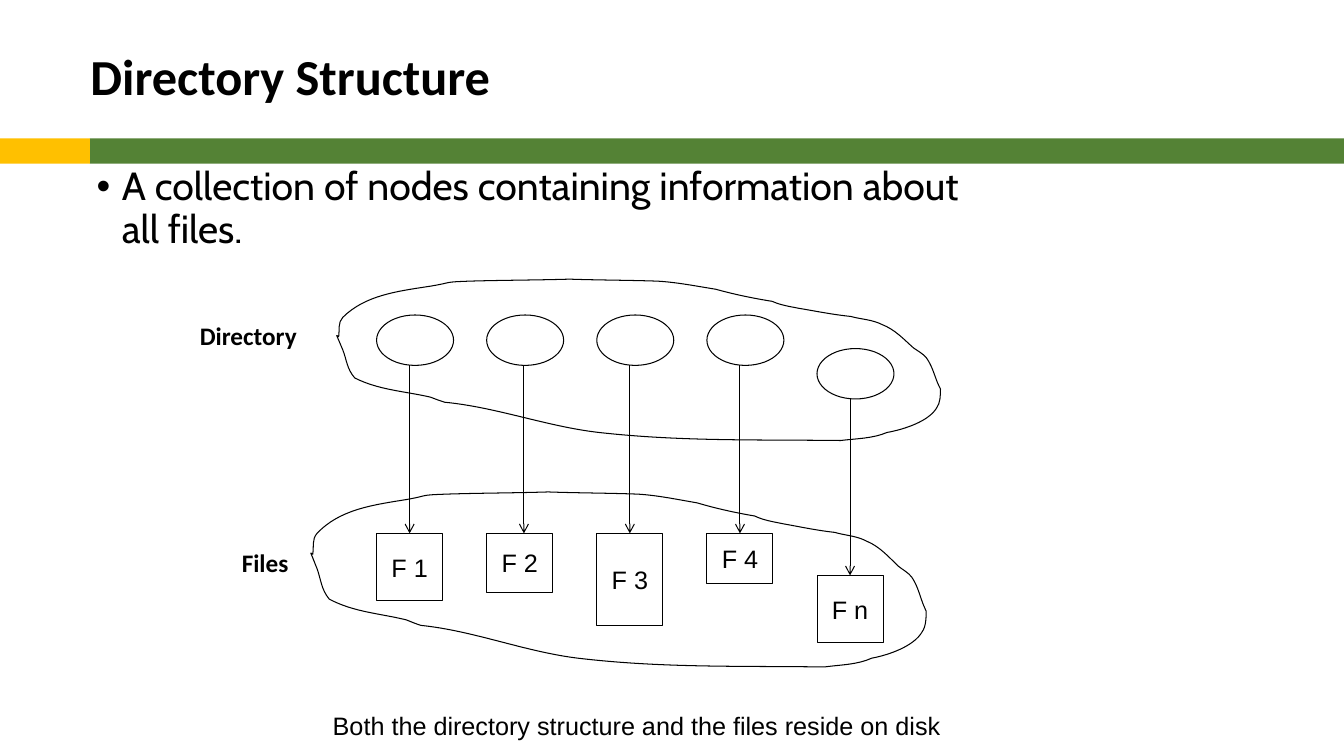
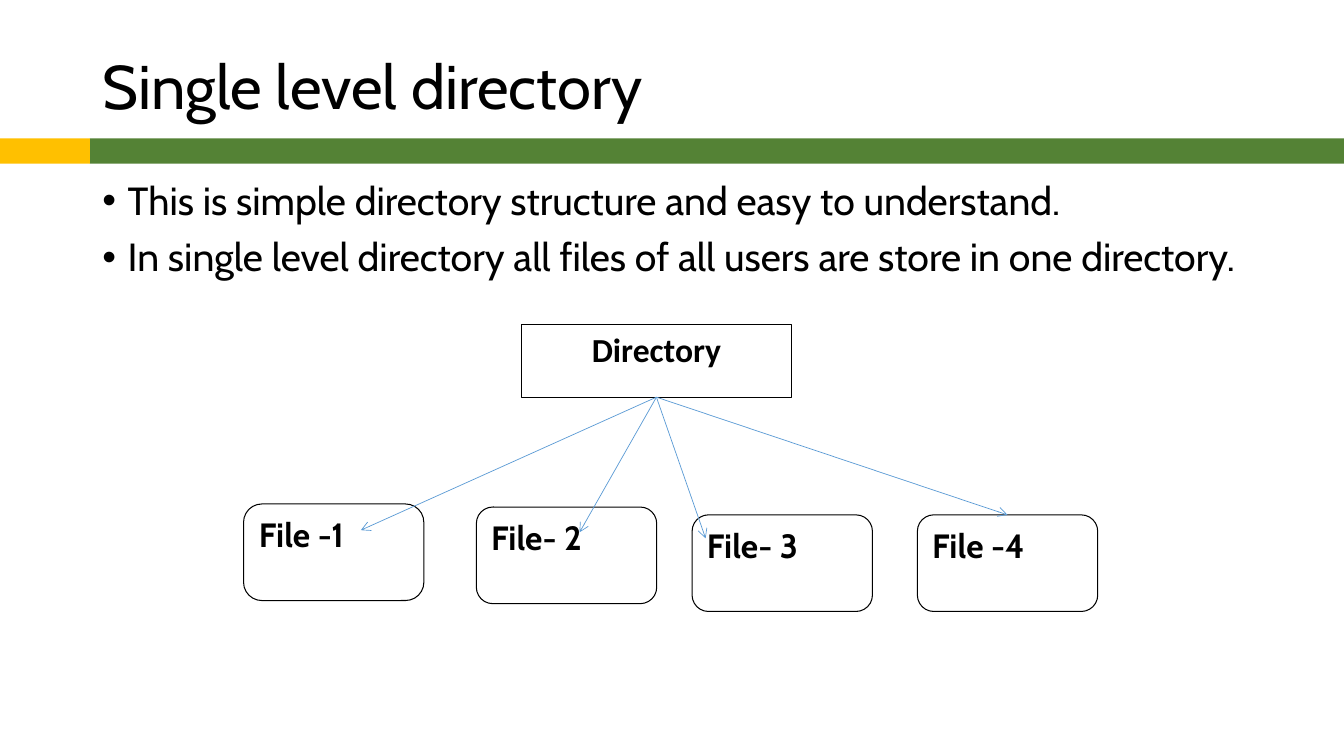
"""Build two slides about file directories: the directory structure and the single-level directory."""
from lxml import etree
from pptx import Presentation
from pptx import util as u
from pptx.dml.color import RGBColor
from pptx.enum import shapes, text
from pptx.oxml.ns import qn

COLORS = {"black": "000000", "white": "FFFFFF", "green": "548235", "gold": "FFC000", "blue": "5B9BD5"}
SHAPE = shapes.MSO_SHAPE
ALIGN = text.PP_ALIGN
ANCHOR = text.MSO_ANCHOR
BODY = dict(font="Cabin", size=28, align=ALIGN.JUSTIFY, spacing=0.9, gap=10, hang=18)


def write(shape, words, at=None, font="Calibri", size=18, bold=False, align=ALIGN.LEFT,
          anchor=ANCHOR.TOP, wrap=True, spacing=1.0, gap=0, hang=0):
    if at:
        shape.left, shape.top, shape.width, shape.height = map(u.Pt, at)
    frame = shape.text_frame
    frame.auto_size = text.MSO_AUTO_SIZE.NONE
    frame.word_wrap = wrap
    frame.vertical_anchor = anchor
    for index, line in enumerate(words.split("\n")):
        para = frame.add_paragraph() if index else frame.paragraphs[0]
        para.alignment = align
        para.line_spacing = spacing
        para.space_before = u.Pt(gap if index else 0)
        if hang:
            props = para._p.get_or_add_pPr()
            props.set("marL", str(u.Pt(hang)))
            props.set("indent", str(-u.Pt(hang)))
        span = para.add_run()
        span.text = line
        span.font.name, span.font.size, span.font.bold = font, u.Pt(size), bold
        span.font.color.rgb = RGBColor.from_string(COLORS["black"])


def add_arrow(page, start, end, color, width):
    arrow = page.shapes.add_connector(shapes.MSO_CONNECTOR.STRAIGHT, *map(u.Pt, start + end))
    arrow.line.color.rgb = RGBColor.from_string(COLORS[color])
    arrow.line.width = u.Pt(width)
    etree.SubElement(arrow.line._get_or_add_ln(), qn("a:tailEnd"), type="arrow")
    etree.SubElement(arrow._element.spPr, qn("a:effectLst"))
    return arrow


deck = Presentation()
deck.slide_width, deck.slide_height = u.Pt(960), u.Pt(540)
layout = deck.slide_layouts[1]
structure = deck.slides.add_slide(layout)
single = deck.slides.add_slide(layout)

for left, width, color in ((0, 64.3, "gold"), (64.3, 895.7, "green")):
    band = structure.shapes.add_shape(SHAPE.RECTANGLE, *map(u.Pt, (left, 98.9, width, 18)))
    band.shadow.inherit = False
    band.fill.solid()
    band.fill.fore_color.rgb = RGBColor.from_string(COLORS[color])
    band.line.fill.background()
    deck.slide_master.shapes.element.insert(2, band._element)

outlined = []

write(structure.shapes.title, "Directory Structure", at=(57.4, 28.8, 573, 51), size=36, bold=True)
write(structure.placeholders[1], "A collection of nodes containing information about all files.",
      at=(61.8, 115.6, 630, 378), **BODY)

FIRST_LEFT, PITCH = 269, 78.65
NODE_WIDTH, NODE_HEIGHT, FILE_WIDTH = 55, 36, 47.2
files = (("F 1", 225, 381, 48, 0), ("F 2", 225, 381, 42, 3), ("F 3", 225, 381, 66, 0),
         ("F 4", 225, 381, 36, 0), ("F n", 249, 411, 48, 0))
for index, (name, node_top, file_top, file_height, nudge) in enumerate(files):
    left = FIRST_LEFT + index * PITCH
    node = structure.shapes.add_shape(SHAPE.OVAL, *map(u.Pt, (left, node_top, NODE_WIDTH, NODE_HEIGHT)))
    box = structure.shapes.add_shape(SHAPE.RECTANGLE, *map(u.Pt, (left, file_top, FILE_WIDTH, file_height)))
    write(box, name, font="Arial", align=ALIGN.CENTER, anchor=ANCHOR.MIDDLE, wrap=False)
    outlined += [node, box]
    middle = left + FILE_WIDTH / 2 + nudge
    arrow = add_arrow(structure, (middle, node_top + NODE_HEIGHT), (middle, file_top), "black", 0.75)
    if not nudge:
        arrow.end_connect(box, 0)

CLOUD_SIZE = (600, 161)
CLOUD_START = (2, 57)
CLOUD_CURVES = (
    ((3, 51), (1, 43), (6, 38)), ((28, 16), (60, 12), (93, 7)),
    ((117, 3), (104, 3), (132, 2)), ((165, 1), (198, 1), (231, 0)),
    ((260, 1), (289, 1), (318, 2)), ((337, 3), (357, 7), (376, 10)),
    ((394, 15), (413, 19), (432, 22)), ((441, 26), (449, 27), (459, 29)),
    ((477, 32), (491, 35), (510, 37)), ((521, 40), (531, 40), (541, 45)),
    ((554, 50), (563, 60), (572, 68)), ((576, 71), (582, 74), (585, 78)),
    ((590, 85), (592, 92), (595, 100)), ((596, 103), (599, 109), (599, 109)),
    ((599, 114), (599, 123), (595, 128)), ((587, 141), (563, 149), (546, 152)),
    ((532, 158), (516, 158), (500, 160)), ((416, 159), (341, 161), (260, 152)),
    ((208, 146), (159, 127), (107, 122)), ((105, 121), (103, 121), (101, 120)),
    ((98, 119), (96, 118), (93, 117)), ((67, 111), (42, 110), (18, 98)),
    ((10, 89), (10, 80), (6, 70)), ((6, 70), (1, 58), (0, 56)),
    ((0, 55), (1, 57), (2, 57)),
)
for left, top, width, height in ((240.5, 199.4, 432, 116), (222, 351.4, 440.3, 125.8)):
    start, *controls = [
        (u.Pt(left + x * width / CLOUD_SIZE[0]), u.Pt(top + y * height / CLOUD_SIZE[1]))
        for x, y in (CLOUD_START, *(point for curve in CLOUD_CURVES for point in curve))]
    builder = structure.shapes.build_freeform(*start)
    builder.add_line_segments(controls[2::3], close=True)
    cloud = builder.convert_to_shape()
    segments = list(cloud._element.iter(qn("a:lnTo")))
    for index in range(len(CLOUD_CURVES)):
        bend = etree.Element(qn("a:cubicBezTo"))
        for x, y in controls[3 * index:3 * index + 3]:
            etree.SubElement(bend, qn("a:pt"), x=str(x - cloud.left), y=str(y - cloud.top))
        segments[index].getparent().replace(segments[index], bend)
    cloud.shadow.inherit = False
    cloud.fill.background()
    cloud.line.color.rgb = RGBColor.from_string(COLORS["black"])
    cloud.line.width = u.Pt(0.75)

labels = (
    ("Both the directory structure and the files reside on disk", (230.6, 504, 585, 51), "Arial", False),
    ("Directory", (135.6, 225.4, 114.5, 29), "Calibri", True),
    ("Files", (165.6, 387.4, 84, 29), "Calibri", True),
)
for words, at, font, bold in labels:
    write(structure.shapes.add_textbox(0, 0, 0, 0), words, at=at, font=font, bold=bold)

write(single.shapes.title, "Single level directory", at=(66, 28.8, 828, 70), font="Cabin", size=44,
      anchor=ANCHOR.MIDDLE, spacing=0.9)
write(single.placeholders[1],
      "This is simple directory structure and easy to understand.\n"
      "In single level directory all files of all users are store in one directory.",
      at=(66, 126, 828, 384), **BODY)

directory = single.shapes.add_shape(SHAPE.RECTANGLE, *map(u.Pt, (372.4, 231.7, 193, 52)))
write(directory, "Directory", size=24, bold=True, align=ALIGN.CENTER)
outlined.append(directory)

branches = (("File -1", 174, 360, 0.19, (257.8, 378.7)), ("File- 2", 340.3, 362.2, 0.17, (414, 380.2)),
            ("File- 3", 494.4, 367.8, 0.17, (504, 384.5)), ("File -4", 655.3, 367.8, 0.17, None))
for name, left, top, corner, tip in branches:
    box = single.shapes.add_shape(SHAPE.ROUNDED_RECTANGLE, *map(u.Pt, (left, top, 128.8, 69)))
    box.adjustments[0] = corner
    write(box, name, font="Cabin", size=24, bold=True)
    outlined.append(box)
    arrow = add_arrow(single, (468.9, 283.7), tip or (left + 64.4, top), "blue", 0.5)
    arrow.begin_connect(directory, 2)
    if not tip:
        arrow.end_connect(box, 0)

for shape in outlined:
    shape.shadow.inherit = False
    shape.fill.solid()
    shape.fill.fore_color.rgb = RGBColor.from_string(COLORS["white"])
    shape.line.color.rgb = RGBColor.from_string(COLORS["black"])
    shape.line.width = u.Pt(0.75)

deck.save("out.pptx")
